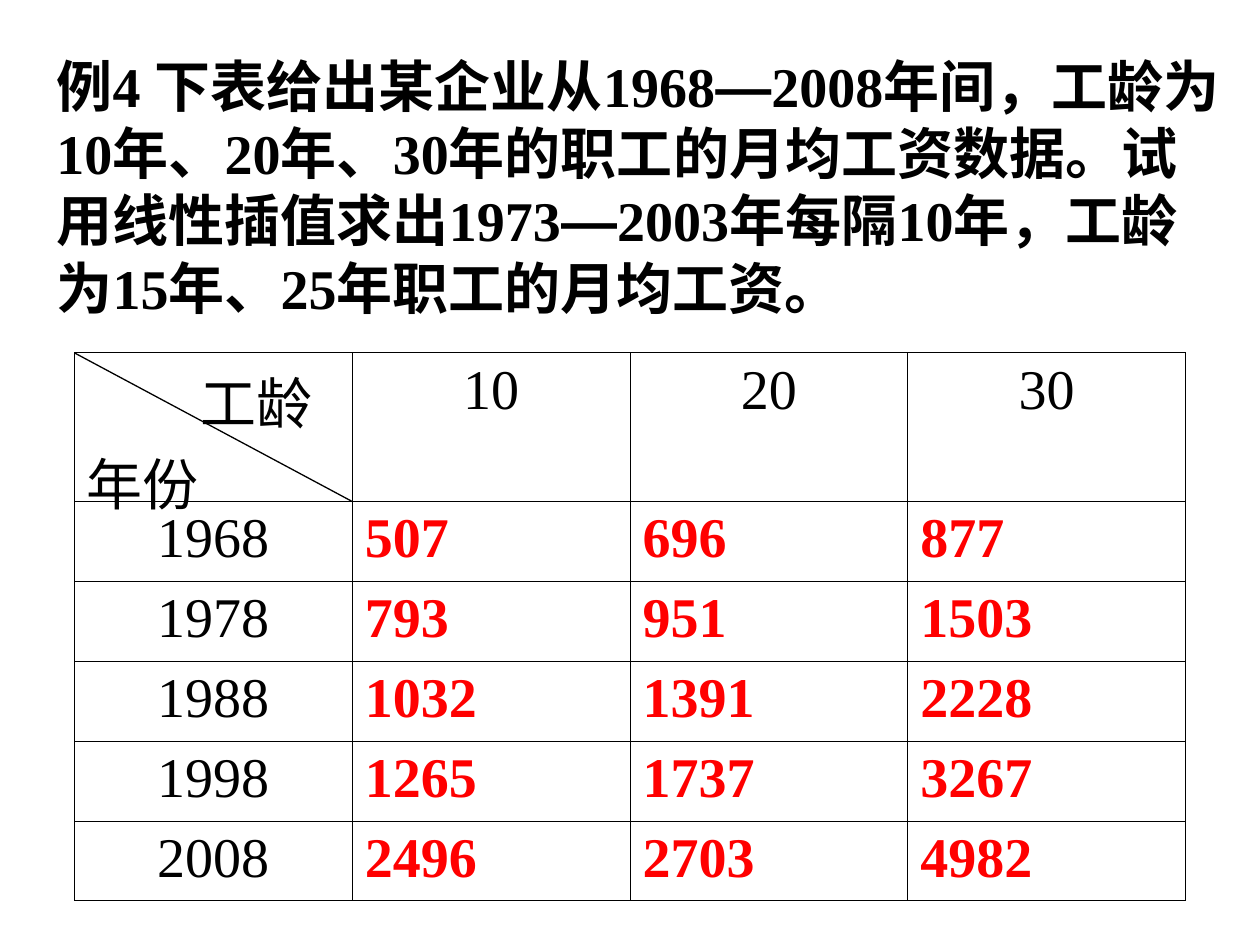
from pptx import Presentation
from pptx.dml.color import RGBColor
from pptx.enum.shapes import MSO_CONNECTOR
from pptx.enum.text import PP_ALIGN
from pptx.oxml import parse_xml
from pptx.oxml.ns import nsdecls
from pptx.util import Inches, Pt

SERIF, SANS = "Times New Roman", "Arial"
BLACK, RED = "000000", "FF0000"

problem = [
    ("例4 下表给出某企业从1968", SERIF),
    ("—", SANS),
    ("2008年间，工龄为10年、20年、30年的职工的月均工资数据。试用线性插值求出1973", SERIF),
    ("—", SANS),
    ("2003年每隔10年，工龄为15年、25年职工的月均工资。", SERIF),
]
service_label, year_label = "工龄", "年份"
service_years = [10, 20, 30]
wages = {
    1968: [507, 696, 877],
    1978: [793, 951, 1503],
    1988: [1032, 1391, 2228],
    1998: [1265, 1737, 3267],
    2008: [2496, 2703, 4982],
}

left, top, width, height = 0.59, 2.8, 8.82, 4.35
header_height = 1.18
column_width = width / (len(service_years) + 1)
row_height = (height - header_height) / len(wages)


def rgb(value):
    return RGBColor.from_string(value)


def add_run(paragraph, text, font=SERIF, color=BLACK, bold=False):
    run = paragraph.add_run()
    run.text = str(text)
    run.font.size = Pt(32)
    run.font.name = font
    run.font.bold = bold
    run.font.color.rgb = rgb(color)


def style_cell(cell):
    cell.fill.background()
    properties = cell._tc.get_or_add_tcPr()
    for position, side in enumerate(("lnL", "lnR", "lnT", "lnB")):
        properties.insert(position, parse_xml(
            f'<a:{side} {nsdecls("a")} w="{Pt(0.45)}"><a:solidFill>'
            f'<a:srgbClr val="{BLACK}"/></a:solidFill></a:{side}>'))


prs = Presentation()
prs.slide_width, prs.slide_height = Inches(10), Inches(7.5)
slide = prs.slides.add_slide(prs.slide_layouts[6])

statement = slide.shapes.add_textbox(
    Inches(0.35), Inches(0.36), Inches(9.53), Inches(2.24)).text_frame
statement.word_wrap = True
statement.paragraphs[0]._p.get_or_add_pPr().set("hangingPunct", "0")
for text, font in problem:
    add_run(statement.paragraphs[0], text, font, bold=True)

wage_table = slide.shapes.add_table(
    len(wages) + 1, len(service_years) + 1,
    Inches(left), Inches(top), Inches(width), Inches(height)).table
for column in wage_table.columns:
    column.width = Inches(column_width)
for index, row in enumerate(wage_table.rows):
    row.height = Inches(row_height if index else header_height)
for cell in wage_table.iter_cells():
    style_cell(cell)

corner = wage_table.cell(0, 0).text_frame
service = corner.paragraphs[0]
service._p.get_or_add_pPr().set("marL", str(Inches(0.9)))
add_run(service, service_label)
add_run(corner.add_paragraph(), year_label)

for c, years in enumerate(service_years, 1):
    heading = wage_table.cell(0, c).text_frame.paragraphs[0]
    heading.alignment = PP_ALIGN.CENTER
    add_run(heading, years)
for r, (year, amounts) in enumerate(wages.items(), 1):
    year_heading = wage_table.cell(r, 0).text_frame.paragraphs[0]
    year_heading.alignment = PP_ALIGN.CENTER
    add_run(year_heading, year)
    for c, amount in enumerate(amounts, 1):
        add_run(wage_table.cell(r, c).text_frame.paragraphs[0],
                amount, color=RED, bold=True)

diagonal = slide.shapes.add_connector(
    MSO_CONNECTOR.STRAIGHT, Inches(left), Inches(top),
    Inches(left + column_width), Inches(top + header_height))
diagonal.line.color.rgb = rgb(BLACK)
diagonal.line.width = Pt(0.74)
diagonal._element.spPr.append(parse_xml(f'<a:effectLst {nsdecls("a")}/>'))

prs.save("out.pptx")
